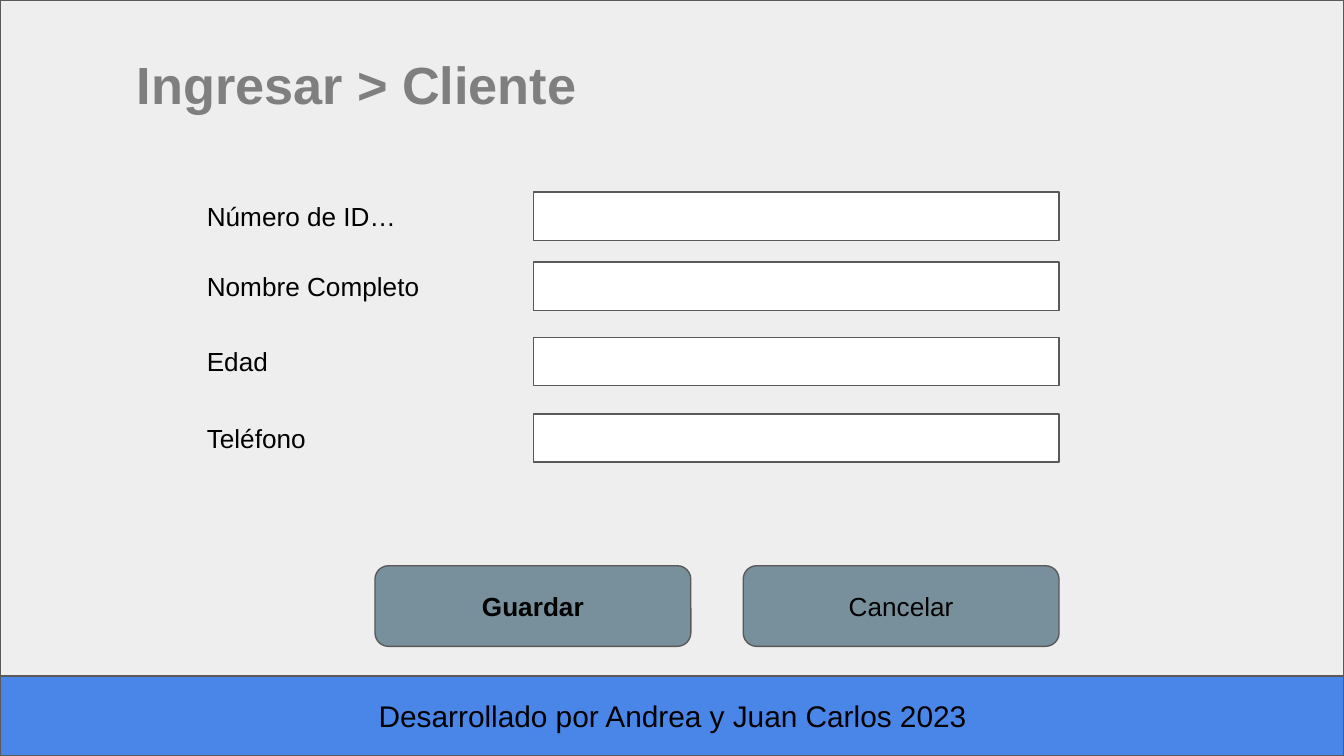
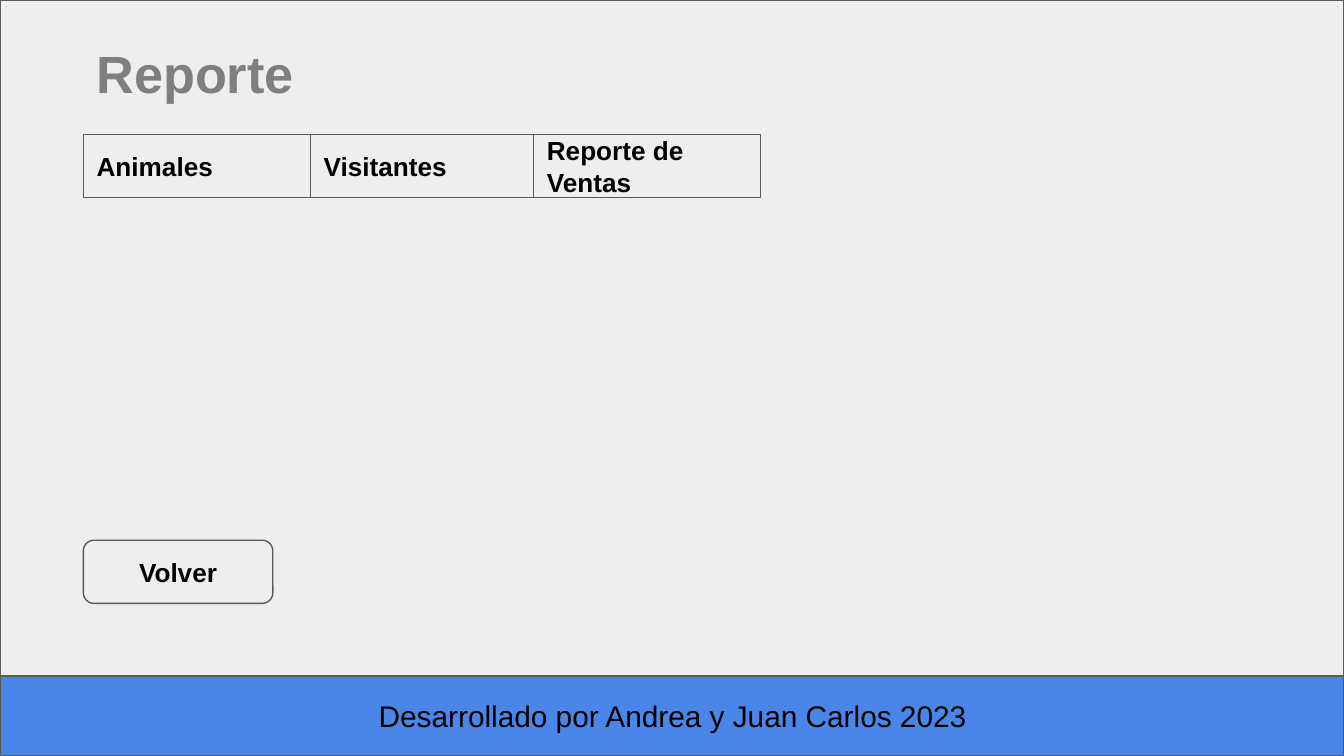
from pptx import Presentation
from pptx.dml.color import RGBColor
from pptx.enum.shapes import MSO_SHAPE
from pptx.enum.text import MSO_ANCHOR, MSO_AUTO_SIZE, PP_ALIGN
from pptx.util import Inches, Pt

RECT, ROUND = MSO_SHAPE.RECTANGLE, MSO_SHAPE.ROUNDED_RECTANGLE
LEFT, CENTER = PP_ALIGN.LEFT, PP_ALIGN.CENTER
MIDDLE, TOP = MSO_ANCHOR.MIDDLE, MSO_ANCHOR.TOP
GROW = MSO_AUTO_SIZE.SHAPE_TO_FIT_TEXT

FONT = "Arial"
BLACK, WHITE, GREY = "000000", "FFFFFF", "7F7F7F"
PANEL, FOOTER, BUTTON, OUTLINE = "EEEEEE", "4A86E8", "78909C", "595959"
WIDTH, FOOTER_TOP = 10, 5.03
HEIGHT = WIDTH * 9 / 16


def color(value):
    return RGBColor.from_string(value)


def write(sp, text, size=14, bold=False, align=LEFT, anchor=TOP, fill=BLACK):
    tf = sp.text_frame
    tf.text = text
    tf.word_wrap = True
    tf.vertical_anchor = anchor
    tf.margin_left = tf.margin_right = Inches(0.1)
    tf.margin_top = tf.margin_bottom = Inches(0.1)
    p = tf.paragraphs[0]
    p.alignment = align
    font = p.runs[0].font
    font.name, font.size, font.bold = FONT, Pt(size), bold
    font.color.rgb = color(fill)


def add_box(s, box, fill, kind=RECT):
    sp = s.shapes.add_shape(kind, *map(Inches, box))
    sp.shadow.inherit = False
    sp.fill.solid()
    sp.fill.fore_color.rgb = color(fill)
    sp.line.color.rgb = color(OUTLINE)
    sp.line.width = Pt(0.75)
    return sp


def add_text(s, box, text, **style):
    sp = s.shapes.add_textbox(*map(Inches, box))
    write(sp, text, **style)
    sp.text_frame.auto_size = GROW


def add_button(s, box, text, fill, bold=True):
    sp = add_box(s, box, fill, ROUND)
    write(sp, text, bold=bold, align=CENTER, anchor=MIDDLE)


def add_screen(prs, title, title_box):
    """Slide with the shared panel, footer band and title."""
    s = prs.slides.add_slide(prs.slide_layouts[6])
    add_box(s, (0, 0, WIDTH, FOOTER_TOP), PANEL)
    add_box(s, (0, FOOTER_TOP, WIDTH, HEIGHT - FOOTER_TOP), FOOTER)
    add_text(s, (2.61, FOOTER_TOP + 0.06, 4.79, 0.47),
             "Desarrollado por Andrea y Juan Carlos 2023",
             size=16, align=CENTER)
    add_text(s, title_box, title, size=28, bold=True, fill=GREY)
    return s


def add_field(s, left, top, label):
    """Label with its input box on the right."""
    add_text(s, (left, top, 1.95, 0.44), label)
    add_box(s, (left + 2.53, top + 0.04, 3.91, 0.36), WHITE)


def add_tab(s, left, top, text):
    sp = add_box(s, (left, top, 1.69, 0.47), PANEL)
    write(sp, text, bold=True, anchor=MIDDLE)


def client_form(prs):
    s = add_screen(prs, "Ingresar > Cliente", (0.92, 0.29, 7.98, 0.67))
    # Input fields
    fields = [("Número de ID…", 1.39), ("Nombre Completo", 1.91),
              ("Edad", 2.47), ("Teléfono", 3.04)]
    for label, top in fields:
        add_field(s, 1.44, top, label)
    # Actions
    add_button(s, (5.53, 4.21, 2.35, 0.6), "Cancelar", BUTTON, bold=False)
    add_button(s, (2.79, 4.21, 2.35, 0.6), "Guardar", BUTTON)


def report(prs):
    left = 0.62
    s = add_screen(prs, "Reporte", (left, 0.21, 8.82, 0.67))
    # Tabs and the way back, from back to front
    add_tab(s, left + 1.69, 1, "Visitantes")
    add_tab(s, left, 1, "Animales")
    add_button(s, (left, 4.02, 1.41, 0.47), "Volver", PANEL)
    add_tab(s, left + 3.35, 1, "Reporte de Ventas")


def main():
    prs = Presentation()
    prs.slide_width, prs.slide_height = Inches(WIDTH), Inches(HEIGHT)
    client_form(prs)
    report(prs)
    prs.save("out.pptx")


if __name__ == "__main__":
    main()
